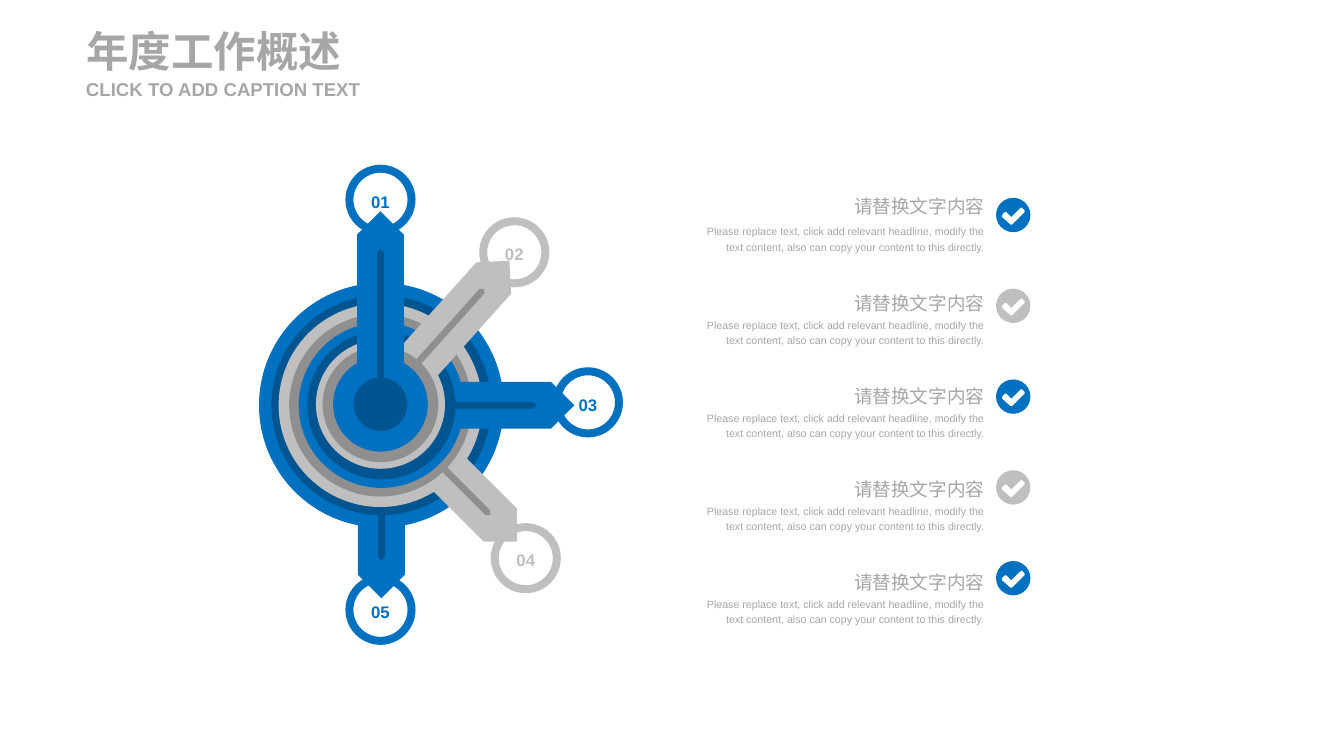
"""Build the annual work overview slide with a five-arm hub and five checked items."""
import math
import pptx
import pptx.dml.color
import pptx.enum.shapes
import pptx.enum.text
import pptx.util

Inches = pptx.util.Inches
RGBColor = pptx.dml.color.RGBColor
Kind = pptx.enum.shapes.MSO_SHAPE
Align = pptx.enum.text.PP_ALIGN
Anchor = pptx.enum.text.MSO_ANCHOR

BLUE = RGBColor(0x00, 0x70, 0xC0)
NAVY = RGBColor(0x00, 0x54, 0x90)
SILVER = RGBColor(0xBF, 0xBF, 0xBF)
GRAY = RGBColor(0x8F, 0x8F, 0x8F)
TEXT = RGBColor(0xA6, 0xA6, 0xA6)
WHITE = RGBColor(0xFF, 0xFF, 0xFF)


def write(box, words, size, color, align, anchor=Anchor.MIDDLE, bold=False,
          space=1.0, inset=0.0, wrap=True):
    frame = box.text_frame
    frame.auto_size = pptx.enum.text.MSO_AUTO_SIZE.NONE
    frame.word_wrap = wrap
    frame.vertical_anchor = anchor
    frame.margin_left = frame.margin_right = Inches(inset)
    frame.margin_top = frame.margin_bottom = Inches(inset / 2)
    line = frame.paragraphs[0]
    line.alignment = align
    line.line_spacing = space
    run = line.add_run()
    run.text = words
    run.font.name = "Arial"
    run.font.size = pptx.util.Pt(size)
    run.font.bold = bold
    run.font.color.rgb = color


def place(parent, kind, x, y, width, height, fill, turn=0):
    shape = parent.add_shape(kind, Inches(x - width / 2), Inches(y - height / 2),
                             Inches(width), Inches(height))
    shape.shadow.inherit = False
    shape.fill.solid()
    shape.fill.fore_color.rgb = fill
    shape.line.fill.background()
    shape.rotation = turn
    return shape


deck = pptx.Presentation()
deck.slide_width = Inches(14.06)
deck.slide_height = Inches(7.91)
slide = deck.slides.add_slide(deck.slide_layouts[5])
shapes = slide.shapes

title = shapes.title
title.left, title.top = Inches(0.9), Inches(0.26)
title.width, title.height = Inches(3.07), Inches(0.54)
write(title, "年度工作概述", 32, TEXT, Align.LEFT, bold=True)

caption = shapes.add_textbox(Inches(0.9), Inches(0.81), Inches(3.07), Inches(0.24))
write(caption, "CLICK TO ADD CAPTION TEXT", 14, TEXT, Align.LEFT, bold=True)

badges = [
    ("05", 3.98, 6.38, BLUE),
    ("04", 5.5, 5.84, SILVER),
    ("03", 6.15, 4.21, BLUE),
    ("02", 5.38, 2.64, SILVER),
    ("01", 3.98, 2.09, BLUE),
]
for label, x, y, color in badges:
    badge = place(shapes, Kind.OVAL, x, y, 0.65, 0.65, WHITE)
    badge.line.color.rgb = color
    badge.line.width = pptx.util.Pt(6)
    write(badge, label, 12.6, color, Align.CENTER, bold=True, space=1.2, inset=0.1)

arms = [
    (90, 3.99, 4.24, 2.56, 2.3, BLUE, NAVY),
    (45, 3.98, 4.24, 2.13, 1.91, SILVER, GRAY),
    (0, 3.99, 4.24, 1.73, 1.55, BLUE, NAVY),
    (311.9, 3.98, 4.23, 1.35, 1.21, SILVER, GRAY),
    (270, 3.98, 4.23, 0.99, 0.56, BLUE, NAVY),
]
for turn, x, y, outer, inner, light, dark in arms:
    arm = shapes.add_group_shape().shapes
    dx, dy = math.cos(math.radians(turn)), math.sin(math.radians(turn))
    place(arm, Kind.PENTAGON, x + 1.12 * dx, y + 1.12 * dy, 1.8, 0.49, light, turn)
    place(arm, Kind.OVAL, x, y, outer, outer, light)
    place(arm, Kind.OVAL, x, y, inner, inner, dark)
    place(arm, Kind.PENTAGON, x + 0.84 * dx, y + 0.84 * dy, 1.57, 0.07, dark, turn)

disc = [(0.18 * math.cos(math.radians(a)), 0.18 * math.sin(math.radians(a)))
        for a in range(0, 360, 15)]
tick = [(0.12, -0.05), (0.09, -0.08), (0.07, -0.07), (-0.02, 0.02), (-0.07, -0.03),
        (-0.09, -0.03), (-0.12, 0), (-0.12, 0.02), (-0.03, 0.1), (-0.01, 0.1),
        (0.12, -0.03)]
for row in range(5):
    y = 2.25 + 0.95 * row
    rings = [[(Inches(10.6 + dx), Inches(y + dy)) for dx, dy in ring]
             for ring in (disc, tick)]
    pen = shapes.build_freeform(*rings[0][0])
    pen.add_line_segments(rings[0][1:])
    pen.move_to(*rings[1][0])
    pen.add_line_segments(rings[1][1:])
    mark = pen.convert_to_shape()
    mark.shadow.inherit = False
    mark.fill.solid()
    mark.fill.fore_color.rgb = SILVER if row % 2 else BLUE
    mark.line.fill.background()

for row in range(5):
    item = shapes.add_group_shape().shapes
    top = 2.04 + 3.9 * row / 4
    body = item.add_textbox(Inches(7.28), Inches(top + 0.29), Inches(3.02), Inches(0.31))
    write(body, "Please replace text, click add relevant headline, modify the text "
          "content, also can copy your content to this directly.",
          8, TEXT, Align.RIGHT, Anchor.TOP, space=1.2)
    tall, space = (0.26, 1.2) if row else (0.24, 1.0)
    head = item.add_textbox(Inches(8.93), Inches(top), Inches(1.37), Inches(tall))
    write(head, "请替换文字内容", 14, TEXT, Align.RIGHT, space=space, wrap=False)

deck.save("out.pptx")
